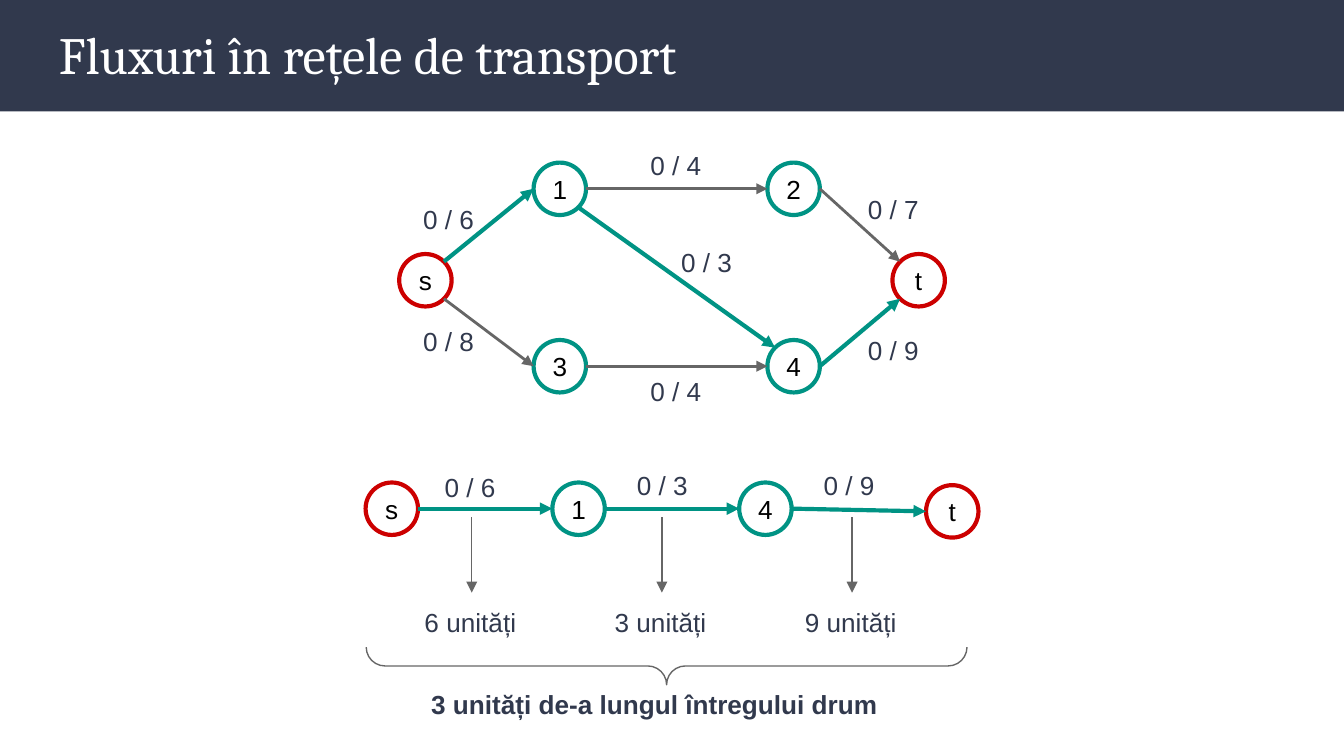
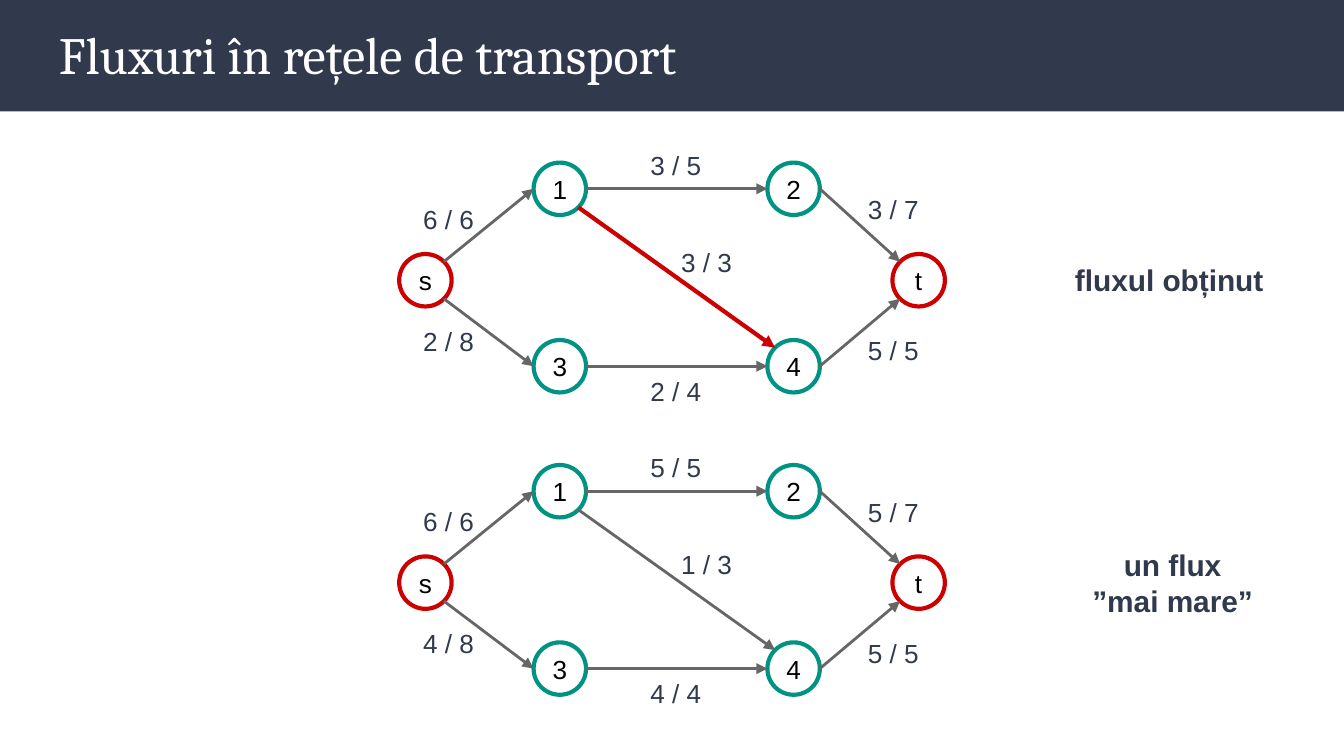
from math import cos, radians, sin

from lxml.etree import SubElement
from pptx import Presentation
from pptx.dml.color import RGBColor
from pptx.enum.shapes import MSO_CONNECTOR as CXN, MSO_SHAPE as SHP
from pptx.enum.text import MSO_ANCHOR as ANC, PP_ALIGN as AL
from pptx.oxml.ns import qn
from pptx.util import Inches, Pt

rgb = RGBColor.from_string
NAVY, TEAL, RED, GREY, WHITE, BLACK = "31394D", "009384", "CC0000", "666666", "FFFFFF", "000000"
THIN, MID, THICK = 0.75, 1.5, 2.25
NODE = 0.39
RING = dict(line=TEAL, width=THICK, color=BLACK, align=AL.CENTER, anchor=ANC.MIDDLE, inset=0.02)
OUTER = {**RING, "line": RED}
EAST, WEST, NW, SW, SE, NE = 6, 2, 1, 3, 5, 7  # connection sites of an ellipse

# The network on its grid of columns and rows
COLS, ROWS, STEP = (2.97, 3.97, 5.71, 6.64), (1.21, 1.89, 2.53), 2.25
NODES = {"s": (0, 1), "4": (2, 2), "3": (1, 2), "2": (2, 0), "1": (1, 0), "t": (3, 1)}
# from, site, to, site, label left, label top, label width
EDGES = [
    ("s", NE, "1", WEST, 3.05, 1.41, 0.59),
    ("1", EAST, "2", WEST, 4.74, 1.01, 0.59),
    ("2", EAST, "t", NW, 6.36, 1.34, 0.66),
    ("s", SE, "3", WEST, 3.05, 2.32, 0.59),
    ("3", EAST, "4", WEST, 4.74, 2.69, 0.59),
    ("4", EAST, "t", SW, 6.36, 2.39, 0.66),
    ("1", SE, "4", NW, 4.97, 1.73, 0.64),
]
# slide, row of the slide, flows in edge order, highlighted edges
NETWORKS = [
    (0, 0, "0 / 6,0 / 4,0 / 7,0 / 8,0 / 4,0 / 9,0 / 3", {"s1": TEAL, "14": TEAL, "4t": TEAL}),
    (1, 0, "6 / 6,3 / 5,3 / 7,2 / 8,2 / 4,5 / 5,3 / 3", {"14": RED}),
    (1, 1, "6 / 6,5 / 5,5 / 7,4 / 8,4 / 4,5 / 5,1 / 3", {}),
]


def put(s, at, text="", shape=None, fill=None, line=None, width=THIN, color=NAVY, size=14,
        bold=False, font="Arial", align=AL.LEFT, anchor=ANC.TOP, inset=0.1):
    """Add a text box, or a preset shape when one is given."""
    box = [Inches(v) for v in at]
    sp = s.shapes.add_shape(shape, *box) if shape else s.shapes.add_textbox(*box)
    if shape:
        sp.shadow.inherit = False
        if fill:
            sp.fill.solid()
            sp.fill.fore_color.rgb = rgb(fill)
        else:
            sp.fill.background()
        if line:
            sp.line.color.rgb, sp.line.width = rgb(line), Pt(width)
        else:
            sp.line.fill.background()
    tf = sp.text_frame
    frame = dict(word_wrap=True, vertical_anchor=anchor)
    frame.update({f"margin_{side}": Inches(inset) for side in ("left", "top", "right", "bottom")})
    for name, value in frame.items():
        setattr(tf, name, value)
    if text:
        tf.text = text
        for p in tf.paragraphs:
            p.alignment = align
            for name, value in dict(name=font, size=Pt(size), bold=bold).items():
                setattr(p.runs[0].font, name, value)
            p.runs[0].font.color.rgb = rgb(color)
    return sp


def arrow(s, start, end, color=GREY, width=MID):
    """Draw an arrow; each end is a point (x, y) or a (node, site) pair."""
    points, glue = [], []
    for tag, (a, b) in (("a:stCxn", start), ("a:endCxn", end)):
        if hasattr(a, "shape_id"):
            glue.append((tag, a, b))
            turn = radians(90 + 45 * b)
            points += [int(a.left + a.width / 2 * (1 + cos(turn))),
                       int(a.top + a.height / 2 * (1 - sin(turn)))]
        else:
            points += [Inches(a), Inches(b)]
    c = s.shapes.add_connector(CXN.STRAIGHT, *points)
    c.line.color.rgb, c.line.width = rgb(color), Pt(width)
    SubElement(c.line._get_or_add_ln(), qn("a:tailEnd"), type="triangle")
    SubElement(c._element.spPr, qn("a:effectLst"))
    for tag, node, site in glue:
        SubElement(c._element.nvCxnSpPr.cNvCxnSpPr, qn(tag), id=str(node.shape_id), idx=str(site))


prs = Presentation()
prs.slide_width, prs.slide_height = Inches(10), Inches(10) * 9 // 16

# Title band on both slides
slides = []
for _ in range(2):
    s = prs.slides.add_slide(prs.slide_layouts[6])
    put(s, (0, 0, 10, 0.83), shape=SHP.RECTANGLE, fill=NAVY)
    put(s, (0.34, 0.06, 9.32, 0.68), "Fluxuri în rețele de transport",
        color=WHITE, size=28, font="Cambria", anchor=ANC.MIDDLE)
    slides.append(s)

# Flow networks
for index, row, flows, marked in NETWORKS:
    s, dy = slides[index], row * STEP
    nodes = {n: put(s, (COLS[c], ROWS[r] + dy, NODE, NODE), n, SHP.OVAL,
                    **(OUTER if n in "st" else RING)) for n, (c, r) in NODES.items()}
    for (a, out, b, into, x, y, w), flow in zip(EDGES, flows.split(",")):
        color = marked.get(a + b, GREY)
        arrow(s, (nodes[a], out), (nodes[b], into), color, MID if color == GREY else THICK)
        put(s, (x, y + dy, w, 0.44), flow)

# Slide 1: the path s-1-4-t
s = slides[0]
stops = [put(s, (2.72 + 1.39 * i, 3.61 if n == "t" else 3.59, NODE, NODE), n, SHP.OVAL,
             **(OUTER if n in "st" else RING)) for i, n in enumerate("s14t")]
for a, b in zip(stops, stops[1:]):
    arrow(s, (a, EAST), (b, WEST), TEAL, THICK)

# Capacity of each step on the path
for i, (units, x, y) in enumerate([(6, 3.21, 3.41), (3, 4.64, 3.39), (9, 6.03, 3.39)]):
    mid = 3.51 + 1.415 * i
    put(s, (x, y, 0.66, 0.44), f"0 / {units}")
    arrow(s, (mid, 3.85), (mid, 4.41), width=THIN)
    put(s, (mid - 0.45, 4.41, 0.89, 0.44), f"{units} unități")

# Brace and flow of the whole path
brace = put(s, (4.82, 2.72, 0.28, 4.47), shape=SHP.LEFT_BRACE, line=GREY)
brace.rotation = 270
brace.adjustments[0] = brace.adjustments[1] = 0.5
put(s, (3.11, 5.02, 3.63, 0.44), "3 unități de-a lungul întregului drum", bold=True)

# Slide 2: captions of the two flows
put(slides[1], (7.9, 1.85, 1.65, 0.47), "fluxul obținut", size=16, bold=True)
put(slides[1], (7.9, 3.97, 1.65, 0.74), "un flux\n”mai mare”", size=16, bold=True, align=AL.CENTER)

prs.save("out.pptx")
